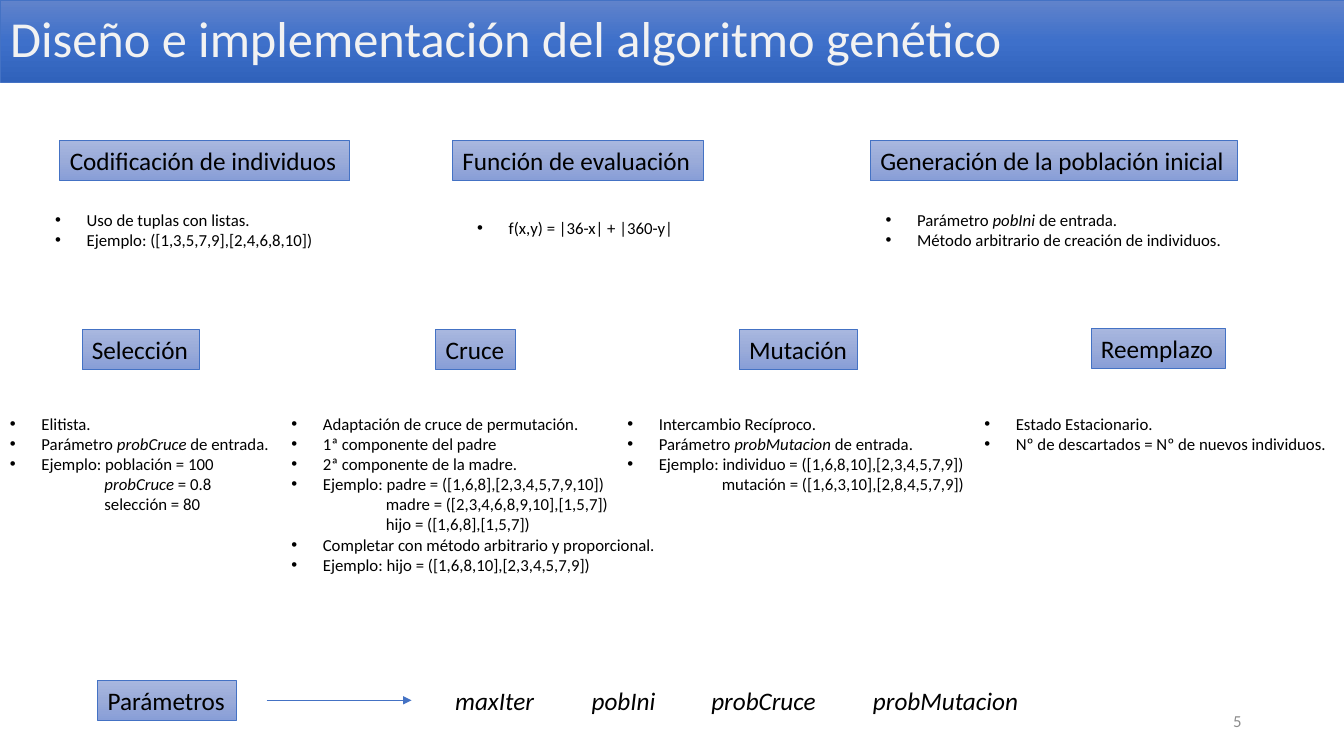
from dataclasses import dataclass

import pptx
import pptx.dml.color
import pptx.enum.shapes
import pptx.enum.text
import pptx.oxml.ns
import pptx.util
from copy import deepcopy
from lxml import etree

EMU_PER_PX = 9525
BULLET_INDENT = 30
EXAMPLE_INDENT = 90


@dataclass(frozen=True)
class Theme:
    font: str = "Calibri"
    text: str = "000000"
    title_text: str = "F2F2F2"
    number_text: str = "8C8C8C"
    accent: str = "4472C4"
    title_fill: tuple[str, ...] = ("6183CB", "3E70CA", "3062BB")
    heading_fill: tuple[str, ...] = ("A8B7DF", "9AABD9", "889ED7")
    title_size: int = 36
    heading_size: int = 18
    body_size: int = 12
    line_width: float = 0.5


@dataclass(frozen=True)
class Box:
    left: int
    top: int
    width: int
    height: int


@dataclass(frozen=True)
class Heading:
    text: str
    box: Box


@dataclass(frozen=True)
class Example:
    """Unbulleted line that continues the example above it."""
    text: str


@dataclass(frozen=True)
class Details:
    box: Box
    lines: tuple[str | Example, ...]


THEME = Theme()

# Text between asterisks is set in italics
HEADINGS = (
    Heading("Codificación de individuos", Box(57, 134, 276, 38)),
    Heading("Función de evaluación", Box(431, 134, 239, 38)),
    Heading("Generación de la población inicial", Box(829, 134, 350, 38)),
    Heading("Selección", Box(78, 314, 112, 38)),
    Heading("Cruce", Box(415, 314, 76, 38)),
    Heading("Mutación", Box(704, 314, 113, 38)),
    Heading("Reemplazo", Box(1039, 313, 128, 38)),
    Heading("Parámetros", Box(93, 648, 132, 38)),
)
DETAILS = (
    Details(Box(43, 195, 268, 48), (
        "Uso de tuplas con listas.",
        "Ejemplo: ([1,3,5,7,9],[2,4,6,8,10])")),
    Details(Box(445, 203, 208, 29), ("f(x,y) = |36-x| + |360-y|",)),
    Details(Box(834, 195, 342, 48), (
        "Parámetro *pobIni *de entrada.",
        "Método arbitrario de creación de individuos.")),
    Details(Box(0, 389, 268, 107), (
        "Elitista.",
        "Parámetro *probCruce* de entrada.",
        "Ejemplo: población = 100",
        Example("*probCruce* = 0.8"),
        Example("selección = 80"))),
    Details(Box(268, 389, 369, 165), (
        "Adaptación de cruce de permutación.",
        "1ª componente del padre",
        "2ª componente de la madre.",
        "Ejemplo: padre = ([1,6,8],[2,3,4,5,7,9,10])",
        Example("madre = ([2,3,4,6,8,9,10],[1,5,7])"),
        Example("hijo = ([1,6,8],[1,5,7])"),
        "Completar con método arbitrario y proporcional.",
        "Ejemplo: hijo = ([1,6,8,10],[2,3,4,5,7,9])")),
    Details(Box(588, 389, 344, 87), (
        "Intercambio Recíproco.",
        "Parámetro *probMutacion* de entrada.",
        "Ejemplo: individuo = ([1,6,8,10],[2,3,4,5,7,9])",
        Example("mutación = ([1,6,3,10],[2,8,4,5,7,9])"))),
    Details(Box(928, 389, 348, 48), (
        "Estado Estacionario.",
        "Nº de descartados = Nº de nuevos individuos.")),
)
PARAMETERS = ("maxIter", "pobIni", "probCruce", "probMutacion")
PARAMETER_TABS = (130, 244, 398)


def px(length: int) -> int:
    return pptx.util.Emu(length * EMU_PER_PX)


def place(box: Box) -> tuple[int, ...]:
    return px(box.left), px(box.top), px(box.width), px(box.height)


def write(paragraph, text: str, size: int, color: str) -> None:
    for index, part in enumerate(text.split("*")):
        if not part:
            continue
        run = paragraph.add_run()
        run.text = part
        style = {"name": THEME.font, "size": pptx.util.Pt(size), "italic": index % 2 == 1}
        for attribute, value in style.items():
            setattr(run.font, attribute, value)
        run.font.color.rgb = pptx.dml.color.RGBColor.from_string(color)


def set_frame(frame, wrap: bool, middle: bool = False, grow: bool = True) -> None:
    anchor = pptx.enum.text.MSO_ANCHOR
    fit = pptx.enum.text.MSO_AUTO_SIZE
    layout = {
        "word_wrap": wrap,
        "auto_size": fit.SHAPE_TO_FIT_TEXT if grow else fit.NONE,
        "vertical_anchor": anchor.MIDDLE if middle else anchor.TOP,
    }
    for attribute, value in layout.items():
        setattr(frame, attribute, value)


def outline(line) -> None:
    line.color.rgb = pptx.dml.color.RGBColor.from_string(THEME.accent)
    line.width = pptx.util.Pt(THEME.line_width)


def paint(shape, colors: tuple[str, ...]) -> None:
    """Fill from top to bottom with evenly spaced colours."""
    shape.fill.gradient()
    shape.fill.gradient_angle = 270
    stop_list = shape.element.spPr.find(".//" + pptx.oxml.ns.qn("a:gsLst"))
    while len(stop_list) < len(colors):
        stop_list.append(deepcopy(stop_list[0]))
    for index, (stop, color) in enumerate(zip(shape.fill.gradient_stops, colors)):
        stop.position = index / (len(colors) - 1)
        stop.color.rgb = pptx.dml.color.RGBColor.from_string(color)
    outline(shape.line)


def add_title(slide, text: str, box: Box) -> None:
    title = slide.shapes.title
    title.left, title.top, title.width, title.height = place(box)
    paint(title, THEME.title_fill)
    set_frame(title.text_frame, wrap=True, middle=True, grow=False)
    paragraph = title.text_frame.paragraphs[0]
    paragraph.alignment = pptx.enum.text.PP_ALIGN.LEFT
    paragraph.line_spacing = 0.9
    write(paragraph, text, THEME.title_size, THEME.title_text)


def add_heading(slide, heading: Heading) -> None:
    label = slide.shapes.add_shape(pptx.enum.shapes.MSO_SHAPE.RECTANGLE, *place(heading.box))
    label.shadow.inherit = False
    paint(label, THEME.heading_fill)
    set_frame(label.text_frame, wrap=False)
    paragraph = label.text_frame.paragraphs[0]
    paragraph.alignment = pptx.enum.text.PP_ALIGN.LEFT
    write(paragraph, heading.text, THEME.heading_size, THEME.text)


def add_details(slide, details: Details) -> None:
    frame = slide.shapes.add_textbox(*place(details.box)).text_frame
    set_frame(frame, wrap=False)
    for index, line in enumerate(details.lines):
        paragraph = frame.add_paragraph() if index else frame.paragraphs[0]
        properties = paragraph._p.get_or_add_pPr()
        if isinstance(line, Example):
            properties.set("marL", str(px(EXAMPLE_INDENT)))
            properties.set("indent", "0")
            write(paragraph, line.text, THEME.body_size, THEME.text)
        else:
            properties.set("marL", str(px(BULLET_INDENT)))
            properties.set("indent", str(-px(BULLET_INDENT)))
            etree.SubElement(properties, pptx.oxml.ns.qn("a:buFont"), typeface="Arial")
            etree.SubElement(properties, pptx.oxml.ns.qn("a:buChar"), char="•")
            write(paragraph, line, THEME.body_size, THEME.text)


def add_arrow(slide, start: int, end: int, y: int) -> None:
    arrow = slide.shapes.add_connector(
        pptx.enum.shapes.MSO_CONNECTOR.STRAIGHT, px(start), px(y), px(end), px(y))
    outline(arrow.line)
    etree.SubElement(arrow.line._get_or_add_ln(), pptx.oxml.ns.qn("a:tailEnd"), type="triangle")
    etree.SubElement(arrow.element.spPr, pptx.oxml.ns.qn("a:effectLst"))


def add_parameters(slide, box: Box) -> None:
    frame = slide.shapes.add_textbox(*place(box)).text_frame
    set_frame(frame, wrap=True)
    paragraph = frame.paragraphs[0]
    tabs = etree.SubElement(paragraph._p.get_or_add_pPr(), pptx.oxml.ns.qn("a:tabLst"))
    for position in PARAMETER_TABS:
        etree.SubElement(tabs, pptx.oxml.ns.qn("a:tab"), pos=str(px(position)), algn="l")
    write(paragraph, "*" + "\t".join(PARAMETERS) + "*", THEME.heading_size, THEME.text)


def add_page_number(slide, number: str, box: Box) -> None:
    frame = slide.shapes.add_textbox(*place(box)).text_frame
    set_frame(frame, wrap=True, middle=True, grow=False)
    frame.paragraphs[0].alignment = pptx.enum.text.PP_ALIGN.RIGHT
    write(frame.paragraphs[0], number, THEME.body_size, THEME.number_text)


def main() -> None:
    deck = pptx.Presentation()
    deck.slide_width, deck.slide_height = px(1280), px(720)
    slide = deck.slides.add_slide(deck.slide_layouts.get_by_name("Title Only"))

    # Title bar and page number
    add_title(slide, "Diseño e implementación del algoritmo genético", Box(0, 0, 1280, 78))
    add_page_number(slide, "5", Box(904, 667, 288, 38))

    # Parts of the algorithm
    for heading in HEADINGS:
        add_heading(slide, heading)
    for details in DETAILS:
        add_details(slide, details)

    # Parameter row
    add_arrow(slide, 254, 392, 667)
    add_parameters(slide, Box(424, 648, 621, 38))
    deck.save("out.pptx")


if __name__ == "__main__":
    main()
